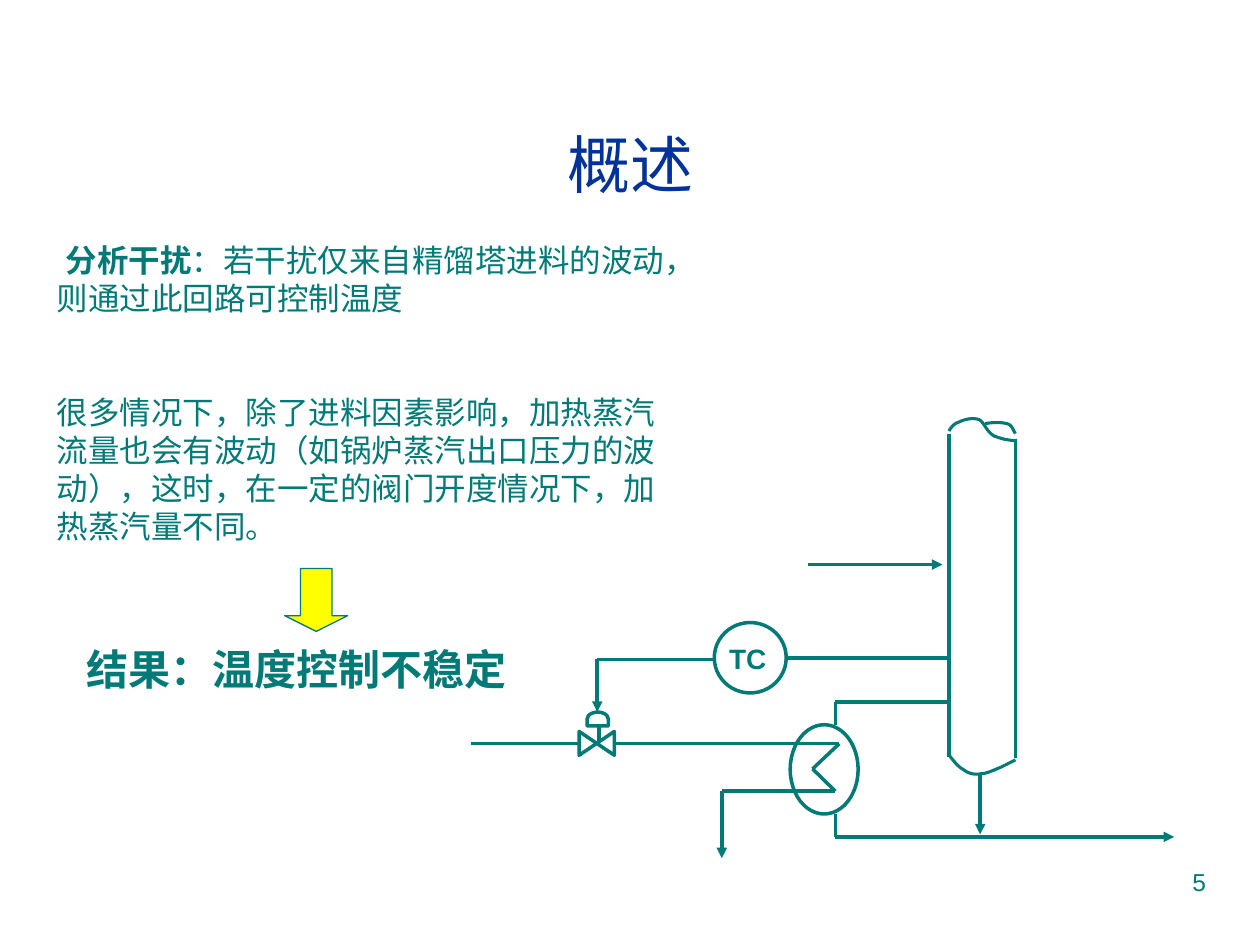
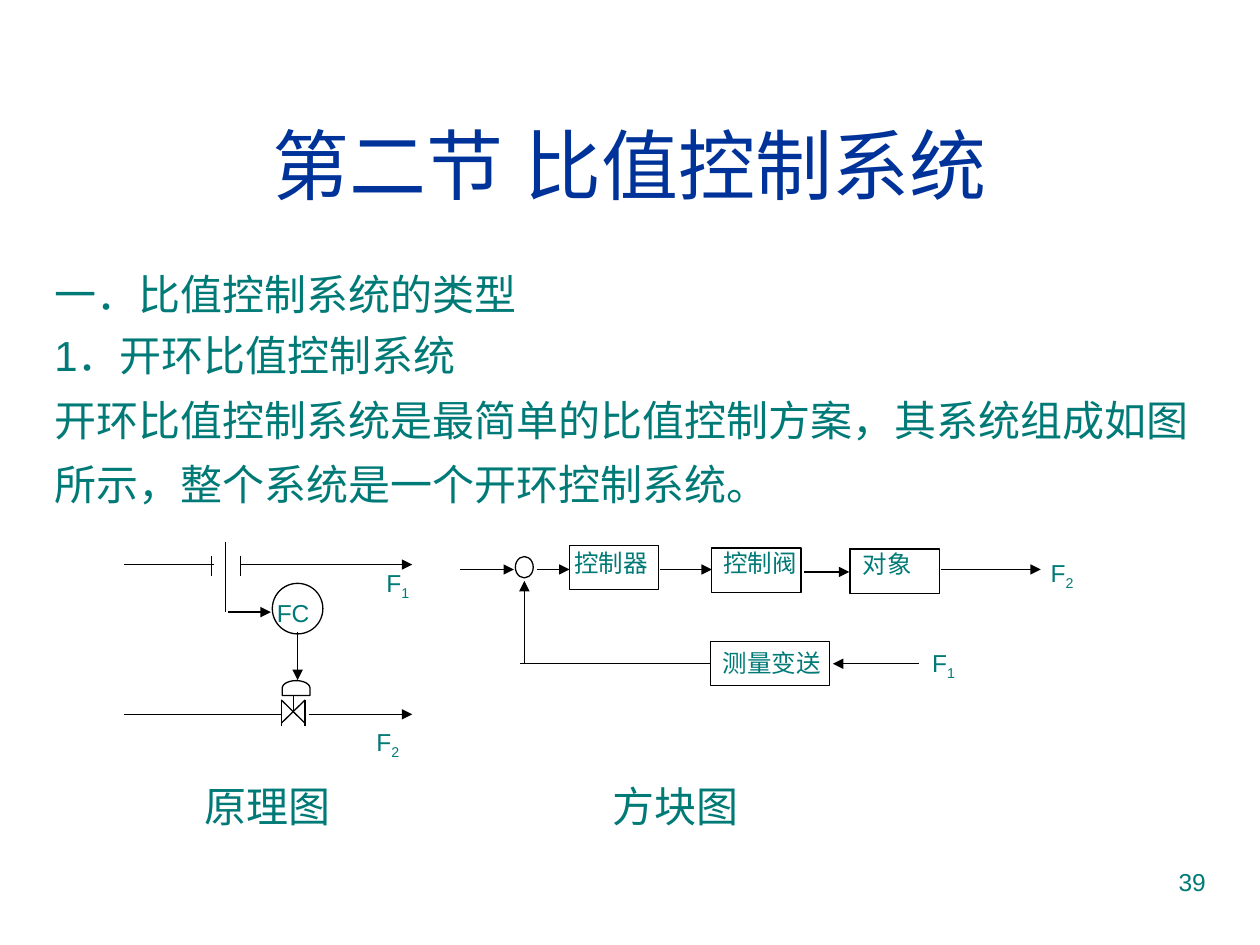
from itertools import pairwise

from lxml import etree
from pptx import Presentation
from pptx.dml.color import RGBColor
from pptx.enum.shapes import MSO_CONNECTOR, MSO_SHAPE
from pptx.enum.text import MSO_ANCHOR, MSO_AUTO_SIZE, PP_ALIGN
from pptx.oxml.ns import qn
from pptx.util import Cm, Pt

COLORS = {"title": "003399", "teal": "007A77", "black": "000000",
          "white": "FFFFFF", "yellow": "FFFF00"}
FONT = "Arial"
STRAIGHT = MSO_CONNECTOR.STRAIGHT
RECT, ELLIPSE = MSO_SHAPE.RECTANGLE, MSO_SHAPE.OVAL
COLLATE, DELAY = MSO_SHAPE.FLOWCHART_COLLATE, MSO_SHAPE.FLOWCHART_DELAY
DOWN_ARROW = MSO_SHAPE.DOWN_ARROW
LEFT, CENTER, RIGHT = PP_ALIGN.LEFT, PP_ALIGN.CENTER, PP_ALIGN.RIGHT
TOP, MIDDLE = MSO_ANCHOR.TOP, MSO_ANCHOR.MIDDLE
NO_AUTOFIT = MSO_AUTO_SIZE.NONE
LABEL_SIZE = 14


def rgb(name):
    return RGBColor.from_string(COLORS[name])


def place(shape, left, top, width, height):
    shape.left, shape.top = Cm(left), Cm(top)
    shape.width, shape.height = Cm(width), Cm(height)


def style_paragraph(para, size, color="teal", bold=False, align=LEFT):
    para.alignment = align
    font = para.font
    font.size, font.bold, font.name = Pt(size), bold, FONT
    font.color.rgb = rgb(color)
    etree.SubElement(font._rPr, qn("a:ea"), typeface=FONT)


def add_text(page, box, text, size, bold=False, align=LEFT):
    frame = page.shapes.add_textbox(*map(Cm, box)).text_frame
    frame.word_wrap = True
    para = frame.paragraphs[0]
    para.text = text
    style_paragraph(para, size, bold=bold, align=align)
    return para


def add_page(deck, title, title_size, number):
    page = deck.slides.add_slide(deck.slide_layouts[1])
    heading = page.shapes.title
    place(heading, 0.84, 1.7, 23.72, 3.18)
    frame = heading.text_frame
    frame.text = title
    frame.vertical_anchor = MIDDLE
    frame.auto_size = NO_AUTOFIT
    style_paragraph(frame.paragraphs[0], title_size, "title", align=CENTER)
    add_text(page, (18.21, 17.35, 6.35, 1.32), number, LABEL_SIZE, align=RIGHT)
    return page


def fill_body(page, box, size, paragraphs):
    """Each paragraph is (runs, space before, line height, first indent in cm);
    each run is (text, bold)."""
    body = page.placeholders[1]
    place(body, *box)
    frame = body.text_frame
    frame.auto_size = NO_AUTOFIT
    for index, (runs, before, height, indent) in enumerate(paragraphs):
        para = frame.add_paragraph() if index else frame.paragraphs[0]
        properties = para._p.get_or_add_pPr()
        properties.set("marL", "0")
        properties.set("indent", str(Cm(indent)))
        para.space_before, para.line_spacing = Pt(before), Pt(height)
        etree.SubElement(properties, qn("a:buNone"))
        style_paragraph(para, size)
        for text, bold in runs:
            span = para.add_run()
            span.text = text
            if bold:
                span.font.bold = True


def bezier(points, steps=8):
    """Points along joined cubic curves: a start, then three points per curve."""
    path = [points[0]]
    for i in range(0, len(points) - 1, 3):
        for step in range(1, steps + 1):
            t = step / steps
            weights = ((1 - t) ** 3, 3 * t * (1 - t) ** 2, 3 * t * t * (1 - t), t ** 3)
            path.append(tuple(sum(w * p[axis] for w, p in zip(weights, points[i:i + 4]))
                              for axis in (0, 1)))
    return path


class Diagram:
    """Draws parts in cm, measured from the top left corner of the diagram."""

    def __init__(self, page, left, top, color, weight):
        self.page, self.left, self.top = page, left, top
        self.color, self.weight = color, weight

    def at(self, x, y):
        return Cm(self.left + x), Cm(self.top + y)

    def outline(self, shape, weight=None):
        shape.line.color.rgb = rgb(self.color)
        shape.line.width = Pt(weight or self.weight)

    def pipe(self, *points, arrow=False, weight=None):
        """Straight lines through the points, the last one with an arrowhead."""
        for start, end in pairwise(points):
            line = self.page.shapes.add_connector(
                STRAIGHT, *self.at(*start), *self.at(*end))
            self.outline(line, weight)
            etree.SubElement(line._element.spPr, qn("a:effectLst"))
        if arrow:
            etree.SubElement(line.line._get_or_add_ln(), qn("a:tailEnd"), type="triangle")

    def shape(self, kind, x, y, width, height, fill="white", rotation=0):
        shape = self.page.shapes.add_shape(
            kind, *self.at(x, y), Cm(width), Cm(height))
        shape.shadow.inherit = False
        shape.rotation = rotation
        if fill:
            shape.fill.solid()
            shape.fill.fore_color.rgb = rgb(fill)
        else:
            shape.fill.background()
        self.outline(shape)
        return shape

    def curve(self, *points, weight):
        start, *rest = [self.at(*point) for point in bezier(points)]
        builder = self.page.shapes.build_freeform(*start)
        builder.add_line_segments(rest, close=False)
        shape = builder.convert_to_shape()
        shape.shadow.inherit = False
        shape.fill.background()
        self.outline(shape, weight)

    def label(self, text, x, y, subscript="", size=LABEL_SIZE, bold=False):
        box = (self.left + x, self.top + y, 1.6, 0.94)
        para = add_text(self.page, box, text, size, bold)
        if subscript:
            span = para.add_run()
            span.text = subscript
            span.font._element.set("baseline", "-25000")

    def block(self, text, x, y, width, inset_left, inset_top):
        frame = self.shape(RECT, x, y, width, 0.89).text_frame
        frame.vertical_anchor = TOP
        frame.margin_left, frame.margin_top = Cm(inset_left), Cm(inset_top)
        frame.margin_right = frame.margin_bottom = 0
        frame.text = text
        style_paragraph(frame.paragraphs[0], LABEL_SIZE)


def draw_column(diagram):
    wall = 1.75
    diagram.pipe((9.63, 0.33), (9.63, 6.86), weight=wall)
    diagram.pipe((10.97, 0.43), (10.97, 6.88), weight=wall)
    diagram.curve((9.63, 6.81), (9.73, 6.93), (9.8, 7.04), (9.93, 7.11),
                  (10.03, 7.19), (10.16, 7.21), (10.26, 7.19),
                  (10.39, 7.19), (10.54, 7.11), (10.67, 7.06),
                  (10.77, 7.01), (10.87, 6.96), (10.97, 6.91), weight=wall)
    diagram.curve((9.63, 0.28), (9.68, 0.2), (9.73, 0.13), (9.83, 0.1),
                  (9.93, 0.05), (10.11, 0), (10.24, 0.05),
                  (10.34, 0.1), (10.39, 0.3), (10.54, 0.38),
                  (10.67, 0.43), (10.77, 0.46), (11, 0.48), weight=wall)
    diagram.curve((10.97, 0.33), (10.92, 0.25), (10.9, 0.15), (10.8, 0.13),
                  (10.69, 0.1), (10.52, 0.1), (10.36, 0.13), weight=wall)


def draw_temperature_loop(page, left, top):
    diagram = Diagram(page, left, top, "teal", 2)
    diagram.shape(ELLIPSE, 6.43, 6.2, 1.37, 1.8, fill=None)  # reboiler
    diagram.shape(ELLIPSE, 4.9, 4.14, 1.45, 1.42, fill=None)
    diagram.label("TC", 4.95, 4.39, size=16, bold=True)
    # Steam line through the heating coil
    diagram.pipe((0, 6.58), (7.42, 6.58), (6.88, 7.09), (7.34, 7.54),
                 (5.05, 7.54), (5.05, 8.89), arrow=True)
    # Reboiler return, bottom product and feed
    diagram.pipe((9.63, 5.74), (7.34, 5.74), (7.34, 6.2))
    diagram.pipe((7.34, 8), (7.34, 8.46), (14.17, 8.46), arrow=True)
    diagram.pipe((10.26, 7.21), (10.26, 8.41), arrow=True)
    diagram.pipe((6.78, 2.97), (9.5, 2.97), arrow=True)
    # Measurement and control signals
    diagram.pipe((6.35, 4.85), (9.63, 4.85))
    diagram.pipe((4.88, 4.88), (2.54, 4.88), (2.54, 5.94), arrow=True)
    # Control valve
    diagram.shape(COLLATE, 2.29, 6.22, 0.48, 0.71, rotation=270)
    diagram.pipe((2.57, 6.53), (2.57, 6.12))
    diagram.shape(DELAY, 2.41, 5.87, 0.28, 0.43, rotation=270)
    draw_column(diagram)


def draw_principle(page, left, top):
    diagram = Diagram(page, left, top, "black", 0.75)
    # Upper flow with its orifice
    diagram.pipe((0, 0.46), (1.83, 0.46))
    diagram.pipe((2.36, 0.46), (7.32 - 1.5, 0.46), arrow=True)
    for x in (1.78, 2.36):
        diagram.pipe((x, 0.28), (x, 0.69))
    diagram.pipe((2.06, 0), (2.06, 1.42))
    diagram.pipe((2.11, 1.42), (2.97, 1.42), arrow=True)
    # Lower flow with its valve
    diagram.pipe((0, 3.48), (3.2, 3.48))
    diagram.pipe((3.73, 3.48), (5.82, 3.48), arrow=True)
    for x, other in ((3.18, 3.66), (3.66, 3.18)):
        diagram.pipe((x, 3.2), (x, 3.71))
        diagram.pipe((x, 3.19), (other, 3.66))
    diagram.pipe((3.43, 3.43), (3.43, 2.97))
    diagram.shape(DELAY, 3.33, 2.67, 0.3, 0.56, rotation=270)
    diagram.shape(ELLIPSE, 3, 0.84, 1.02, 1.02)
    diagram.pipe((3.51, 1.83), (3.51, 2.79), arrow=True)
    diagram.label("FC", 2.84, 1.02)
    diagram.label("F", 5.05, 0.41, "1")
    diagram.label("F", 4.85, 3.61, "2")


def draw_block_diagram(page, left, top):
    diagram = Diagram(page, left, top, "black", 0.75)
    diagram.shape(ELLIPSE, 1.12, 0.3, 0.36, 0.43)
    diagram.shape(RECT, 7.85, 0.15, 1.8, 0.89)
    for text, x, y, width, inset_left, inset_top in (
            ("控制器", 2.21, 0.08, 1.8, 0.1, 0.05),
            ("控制阀", 5.08, 0.13, 1.8, 0.23, 0),
            ("对象", 7.87, 0.15, 1.8, 0.25, 0),
            ("测量变送", 5.05, 2.01, 2.41, 0.25, 0.13)):
        diagram.block(text, x, y, width, inset_left, inset_top)
    for start, end, y in ((0, 1.09, 0.56), (1.55, 2.21, 0.56), (4.04, 5.08, 0.56),
                          (6.93, 7.85, 0.61), (9.7, 11.71, 0.56), (9.25, 7.52, 2.46)):
        diagram.pipe((start, y), (end, y), arrow=True)
    diagram.pipe((5.05, 2.46), (1.22, 2.46))
    diagram.pipe((1.3, 2.46), (1.3, 0.79), arrow=True)
    diagram.label("F", 9.27, 2.01, "1")
    diagram.label("F", 11.66, 0.2, "2")


def build_overview(deck):
    page = add_page(deck, "概述", 36, "5")
    fill_body(page, (0.89, 4.72, 13.08, 6.4), 18, [
        ([("分析干扰", True), ("：若干扰仅来自精馏塔进料的波动，则通过此回路可控制温度", False)],
         0, 21.7, 0.18),
        ([("很多情况下，除了进料因素影响，加热蒸汽流量也会有波动（如锅炉蒸汽出口压力的波动），"
           "这时，在一定的阀门开度情况下，加热蒸汽量不同。", False)], 43.5, 21.7, 0)])
    draw_temperature_loop(page, 9.5, 8.41)
    add_text(page, (1.5, 12.85, 10.59, 1.47), "结果：温度控制不稳定", 24, bold=True)
    arrow = Diagram(page, 5.74, 11.46, "teal", 0.75).shape(
        DOWN_ARROW, 0, 0, 1.27, 1.27, "yellow")
    arrow.adjustments[0], arrow.adjustments[1] = 0.5, 0.25


def build_ratio_control(deck):
    page = add_page(deck, "第二节 比值控制系统", 44, "39")
    fill_body(page, (0.84, 5.28, 23.72, 5.4), 24, [
        ([("一．比值控制系统的类型", False)], 0, 29, 0),
        ([("1．开环比值控制系统", False)], 6, 29, 0),
        ([("开环比值控制系统是最简单的比值控制方案，其系统组成如图所示，"
           "整个系统是一个开环控制系统。", False)], 0, 36.7, 0)])
    draw_principle(page, 2.49, 10.92)
    draw_block_diagram(page, 9.27, 10.92)
    for caption, left in (("原理图", 3.88), ("方块图", 12.1)):
        add_text(page, (left, 15.6, 3.5, 1.3), caption, 24)


def main():
    deck = Presentation()
    deck.slide_width, deck.slide_height = Cm(25.4), Cm(19.05)
    build_overview(deck)
    build_ratio_control(deck)
    deck.save("out.pptx")


if __name__ == "__main__":
    main()
